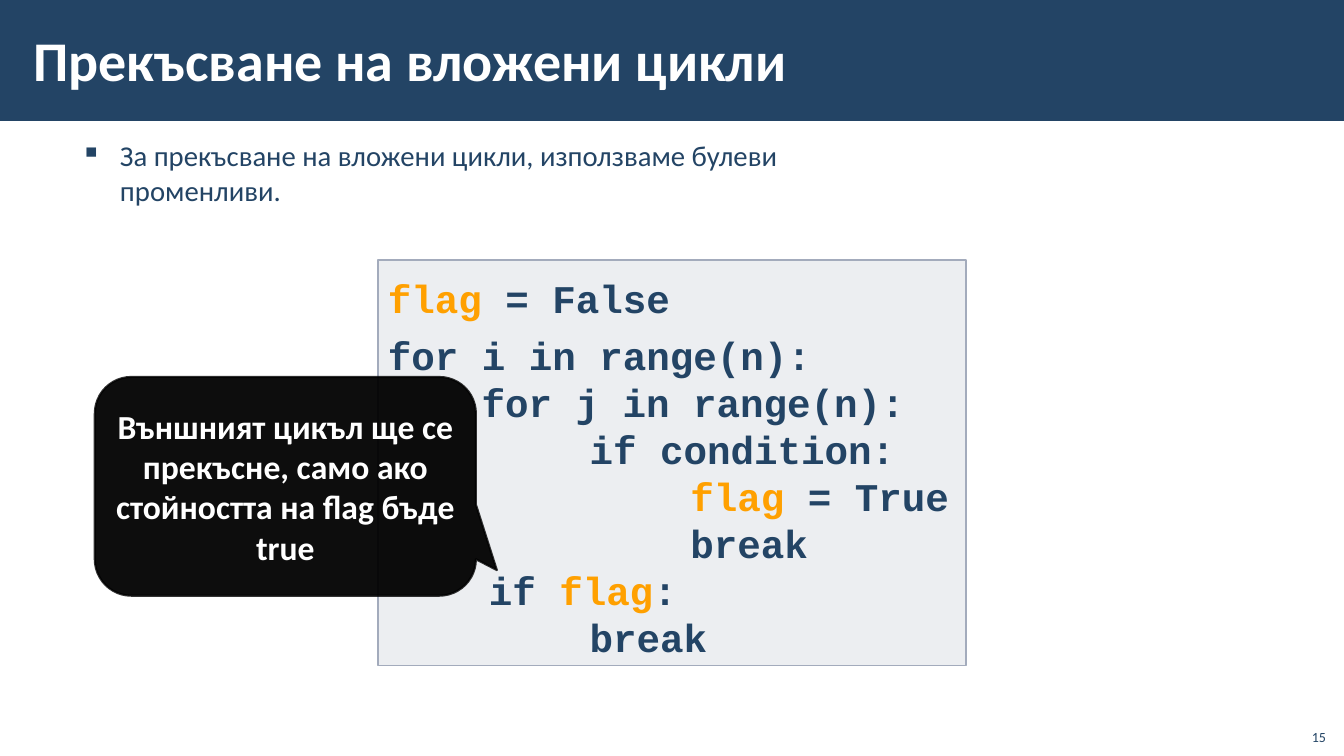
from lxml import etree
from pptx import Presentation
from pptx import util as u
from pptx.dml.color import RGBColor
from pptx.enum import shapes, text
from pptx.oxml import ns

PX = 9144  # EMU per px, 100 px to the inch
NAVY, WHITE, ORANGE, GREY, BLACK = "234465", "FFFFFF", "FFA000", "A3ABBC", "000000"


def write(box, paragraphs, size, color, font="Calibri", bold=False, align="LEFT",
          anchor="TOP", margins=(10, 5)):
    """Each paragraph is (indent in px, line spacing, [(words, color or None), ...])."""
    frame = box.text_frame
    frame.word_wrap = True
    frame.vertical_anchor = text.MSO_ANCHOR[anchor]
    frame.margin_left = frame.margin_right = margins[0] * PX
    frame.margin_top = frame.margin_bottom = margins[1] * PX
    for number, (indent, spacing, spans) in enumerate(paragraphs):
        para = frame.add_paragraph() if number else frame.paragraphs[0]
        para.alignment = text.PP_ALIGN[align]
        para.line_spacing = spacing
        para._p.get_or_add_pPr().set("marL", str(indent * PX))
        for words, span_color in spans:
            for part_number, part in enumerate(words.split("\n")):
                if part_number:
                    para.add_line_break()
                span = para.add_run()
                span.text = part
                span.font.name, span.font.size, span.font.bold = font, u.Pt(size), bold
                span.font.color.rgb = RGBColor.from_string(span_color or color)


def paint(shape, fill, opacity=100, line=None, width=1, line_opacity=100):
    shape.shadow.inherit = False
    shape.fill.solid()
    shape.fill.fore_color.rgb = RGBColor.from_string(fill)
    if line:
        shape.line.color.rgb = RGBColor.from_string(line)
        shape.line.width = u.Pt(width)
    else:
        shape.line.fill.background()
    colors = shape._element.spPr.findall(".//" + ns.qn("a:srgbClr"))
    for color, percent in zip(colors, (opacity, line_opacity)):
        if percent < 100:
            etree.SubElement(color, ns.qn("a:alpha"), val=str(percent * 1000))


deck = Presentation()
deck.slide_width, deck.slide_height = 1333 * PX, 750 * PX
page = deck.slides.add_slide(deck.slide_layouts[6])
add_shape, add_text = page.shapes.add_shape, page.shapes.add_textbox
KIND = shapes.MSO_SHAPE

# Title band
band = add_shape(KIND.RECTANGLE, 0, 0, 1333 * PX, 120 * PX)
paint(band, NAVY)
title = add_text(21 * PX, 11 * PX, 1062 * PX, 96 * PX)
write(title, [(0, 1.0, [("Прекъсване на вложени цикли", None)])], 40, WHITE,
      bold=True, anchor="MIDDLE", margins=(12, 4))

# Bullet
body = add_text(68 * PX, 133 * PX, 1198 * PX, 124 * PX)
sentence = "За прекъсване на вложени цикли, използваме булеви \nпроменливи."
write(body, [(39, 1.0, [(sentence, None)])], 20.5, NAVY, margins=(12, 4))
bullet = body.text_frame.paragraphs[0]
bullet.space_before = bullet.space_after = u.Pt(6)
properties = bullet._p.get_or_add_pPr()
properties.set("indent", str(-39 * PX))
bullet_color = etree.SubElement(properties, ns.qn("a:buClr"))
etree.SubElement(bullet_color, ns.qn("a:srgbClr"), val=NAVY)
etree.SubElement(properties, ns.qn("a:buChar"), char="▪")

# Code listing
code = add_shape(KIND.RECTANGLE, 375 * PX, 258 * PX, 583 * PX, 402 * PX)
paint(code, GREY, opacity=20, line=GREY)
write(code, [
    (0, 1.2, [("flag", ORANGE), (" = False", None)]),
    (0, 1.2, [("for i in range(n):", None)]),
    (93, 1.0, [("for j in range(n):", None)]),
    (200, 1.0, [("if condition:", None)]),
    (300, 1.0, [("flag", ORANGE), (" = True", None)]),
    (300, 1.0, [("break", None)]),
    (100, 1.0, [("if ", None), ("flag", ORANGE), (":", None)]),
    (200, 1.0, [("break", None)]),
], 28, NAVY, font="Courier New", bold=True)

# Callout
callout = add_shape(KIND.ROUNDED_RECTANGULAR_CALLOUT, 94 * PX, 374 * PX, 378 * PX, 217 * PX)
for number, value in enumerate((0.555, 0.383, 0.167)):
    callout.adjustments[number] = value
paint(callout, BLACK, opacity=95, line=BLACK, width=1.5, line_opacity=80)
note = "Външният цикъл ще се прекъсне, само ако стойността на flag бъде true"
write(callout, [(0, 1.0, [(note, None)])], 24, WHITE, bold=True, align="CENTER",
      anchor="MIDDLE")

# Slide number
number_box = add_text(1285 * PX, 712 * PX, 40 * PX, 32 * PX)
write(number_box, [(0, 1.0, [("15", None)])], 10, NAVY, align="RIGHT", anchor="BOTTOM")

deck.save("out.pptx")
